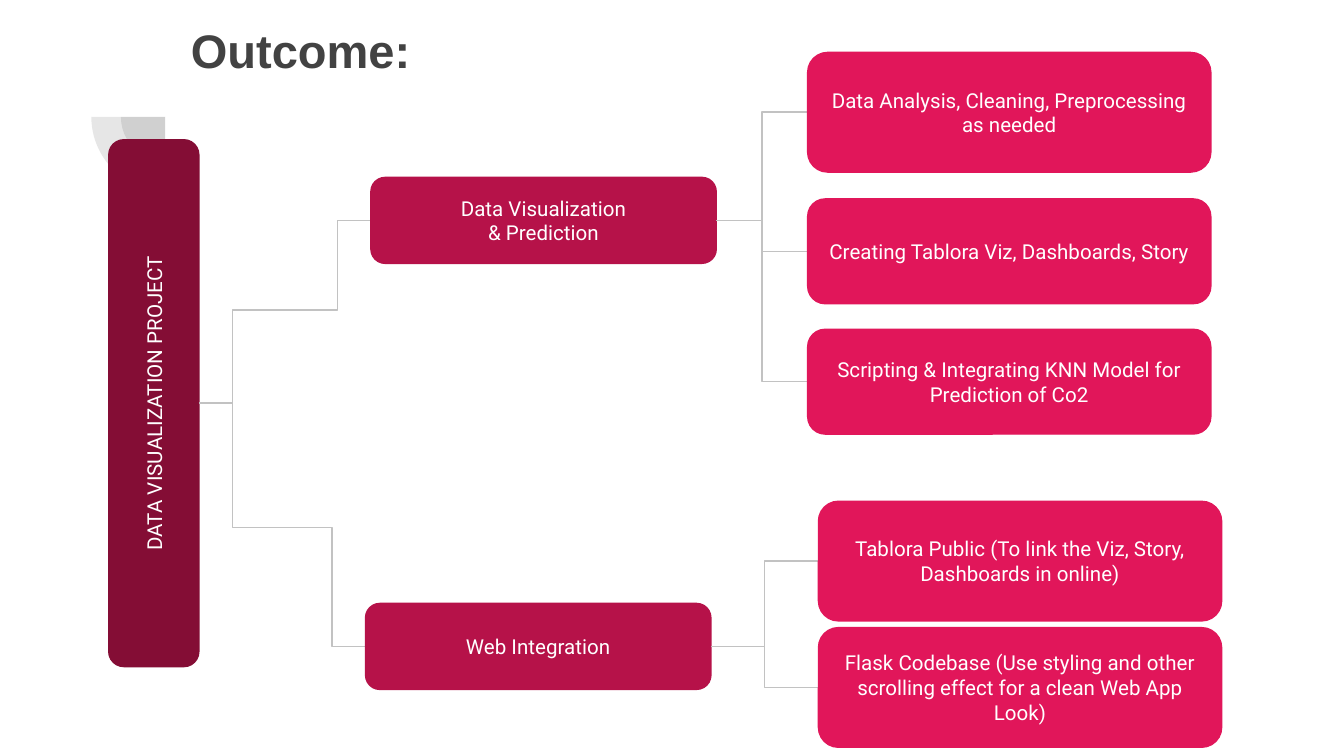
from lxml.etree import SubElement
from pptx import Presentation
from pptx.dml.color import RGBColor
from pptx.enum.shapes import MSO_CONNECTOR, MSO_SHAPE
from pptx.enum.text import MSO_ANCHOR, PP_ALIGN
from pptx.oxml.ns import qn
from pptx.util import Inches, Pt

COLORS = {
    "background": "FFFFFF",
    "title": "424242",
    "root": "840D35",
    "branch": "B61249",
    "leaf": "E1165A",
    "text": "FFFFFF",
    "link": "C2C2C2",
}
ROOT_BOX = (0.81, 1.04, 0.67, 3.92)
BRANCHES = [
    ((2.76, 1.32, 2.57, 0.64), "Data Visualization\n& Prediction", 6.01, [
        (0.39, 0.89, "Data Analysis, Cleaning, Preprocessing as needed"),
        (1.48, 0.78, "Creating Tablora Viz, Dashboards, Story"),
        (2.45, 0.78, "Scripting & Integrating KNN Model for Prediction of Co2"),
    ]),
    ((2.72, 4.49, 2.57, 0.64), "Web Integration", 6.09, [
        (3.73, 0.89, "Tablora Public (To link the Viz, Story, Dashboards in online)"),
        (4.67, 0.89, "Flask Codebase (Use styling and other scrolling effect "
                     "for a clean Web App Look)"),
    ]),
]
LEAF_WIDTH = 3
ROOT_STUB = 0.25


def rgb(name):
    """Return the named colour."""
    return RGBColor.from_string(COLORS[name])


def set_margins(tf):
    """Give a text frame equal insets and wrapping."""
    tf.word_wrap = True
    tf.margin_left = tf.margin_right = tf.margin_top = tf.margin_bottom = Inches(0.1)


def add_title(s, box, text):
    """Place and format the title placeholder in the box."""
    title = s.shapes.title
    title.left, title.top, title.width, title.height = map(Inches, box)
    tf = title.text_frame
    set_margins(tf)
    tf.vertical_anchor = MSO_ANCHOR.TOP
    tf.text = text
    p = tf.paragraphs[0]
    p.alignment = PP_ALIGN.LEFT
    p.font.name, p.font.size, p.font.bold = "Arial", Pt(25.2), True
    p.font.color.rgb = rgb("title")


def add_corner(s, box):
    """Draw two translucent quarter discs sharing the box's top right corner."""
    x, y, size = box
    for radius in (size * 0.6, size):
        sp = s.shapes.add_shape(
            MSO_SHAPE.PIE, Inches(x + size - radius), Inches(y - radius),
            Inches(2 * radius), Inches(2 * radius))
        sp.rotation = 270
        sp.adjustments[0], sp.adjustments[1] = 108, 162
        sp.shadow.inherit = False
        sp.fill.solid()
        sp.fill.fore_color.rgb = rgb("title")
        color = sp.fill._xPr.find(qn("a:solidFill"))[0]
        SubElement(color, qn("a:alpha")).set("val", "13000")
        sp.line.fill.background()


def add_node(s, box, text, color, upright=False):
    """Draw a rounded box, with text running upwards if upright is set."""
    x, y, w, h = box
    if upright:
        x, y, w, h = x + (w - h) / 2, y + (h - w) / 2, h, w
    sp = s.shapes.add_shape(MSO_SHAPE.ROUNDED_RECTANGLE, *map(Inches, (x, y, w, h)))
    sp.rotation = 270 if upright else 0
    sp.shadow.inherit = False
    sp.fill.solid()
    sp.fill.fore_color.rgb = sp.line.color.rgb = rgb(color)
    sp.line.width = Pt(0.75)
    tf = sp.text_frame
    set_margins(tf)
    tf.vertical_anchor = MSO_ANCHOR.MIDDLE
    tf.text = text
    for p in tf.paragraphs:
        p.alignment = PP_ALIGN.CENTER
        p.font.name, p.font.size = "Roboto", Pt(11)
        p.font.color.rgb = rgb("text")


def add_link(s, parent, child, stub=None):
    """Link a box's right side to another's left, bending twice more if a stub is set."""
    x, y, w, h = parent
    cx, cy, _, ch = child
    link = s.shapes.add_connector(
        MSO_CONNECTOR.ELBOW, *map(Inches, (x + w, y + h / 2, cx, cy + ch / 2)))
    link.line.color.rgb = rgb("link")
    link.line.width = Pt(0.75)
    props = link._element.spPr
    SubElement(props, qn("a:effectLst"))
    if stub:
        geometry = props.find(qn("a:prstGeom"))
        geometry.set("prst", "bentConnector5")
        guides = geometry.find(qn("a:avLst"))
        if guides is None:
            guides = SubElement(geometry, qn("a:avLst"))
        share = stub / (cx - x - w)
        for i, bend in enumerate((share, 0.51, 1 - share), 1):
            guide = SubElement(guides, qn("a:gd"))
            guide.set("name", f"adj{i}")
            guide.set("fmla", f"val {round(bend * 100000)}")


def add_branch(s, box, text, leaf_x, leaves):
    """Draw a branch box with its leaves and the links between them."""
    add_link(s, ROOT_BOX, box, ROOT_STUB)
    add_node(s, box, text, "branch")
    for y, height, leaf_text in leaves:
        leaf = (leaf_x, y, LEAF_WIDTH, height)
        add_link(s, box, leaf)
        add_node(s, leaf, leaf_text, "leaf")


def main():
    """Build the slide and save it."""
    prs = Presentation()
    prs.slide_width = Inches(10)
    prs.slide_height = prs.slide_width * 9 // 16
    s = prs.slides.add_slide(prs.slide_layouts[5])
    s.background.fill.solid()
    s.background.fill.fore_color.rgb = rgb("background")
    add_corner(s, (0.68, 0.87, 0.55))
    add_title(s, (1.32, 0.06, 7.69, 0.49), "Outcome:")
    add_node(s, ROOT_BOX, "DATA VISUALIZATION PROJECT", "root", upright=True)
    for branch in BRANCHES:
        add_branch(s, *branch)
    prs.save("out.pptx")


if __name__ == "__main__":
    main()
